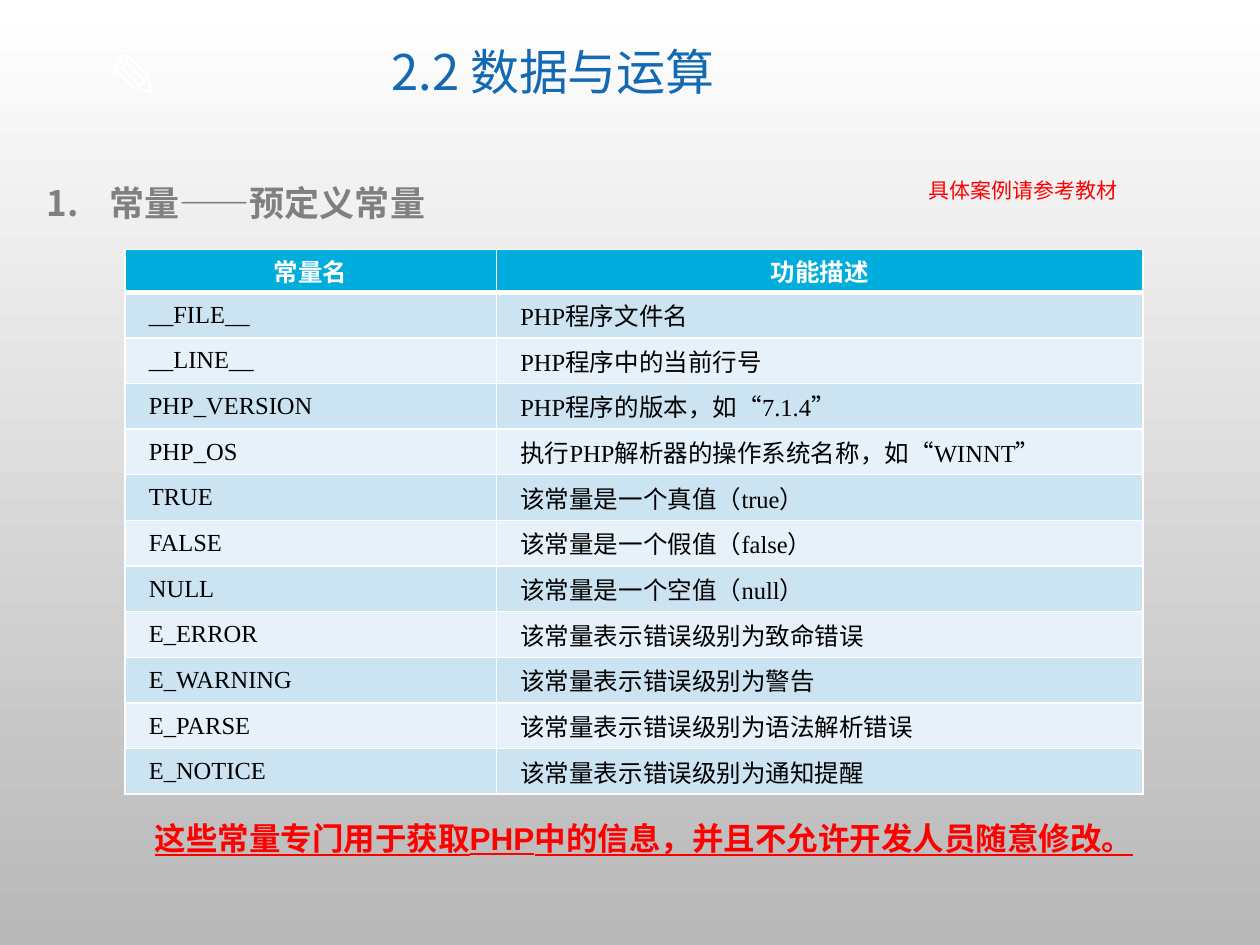
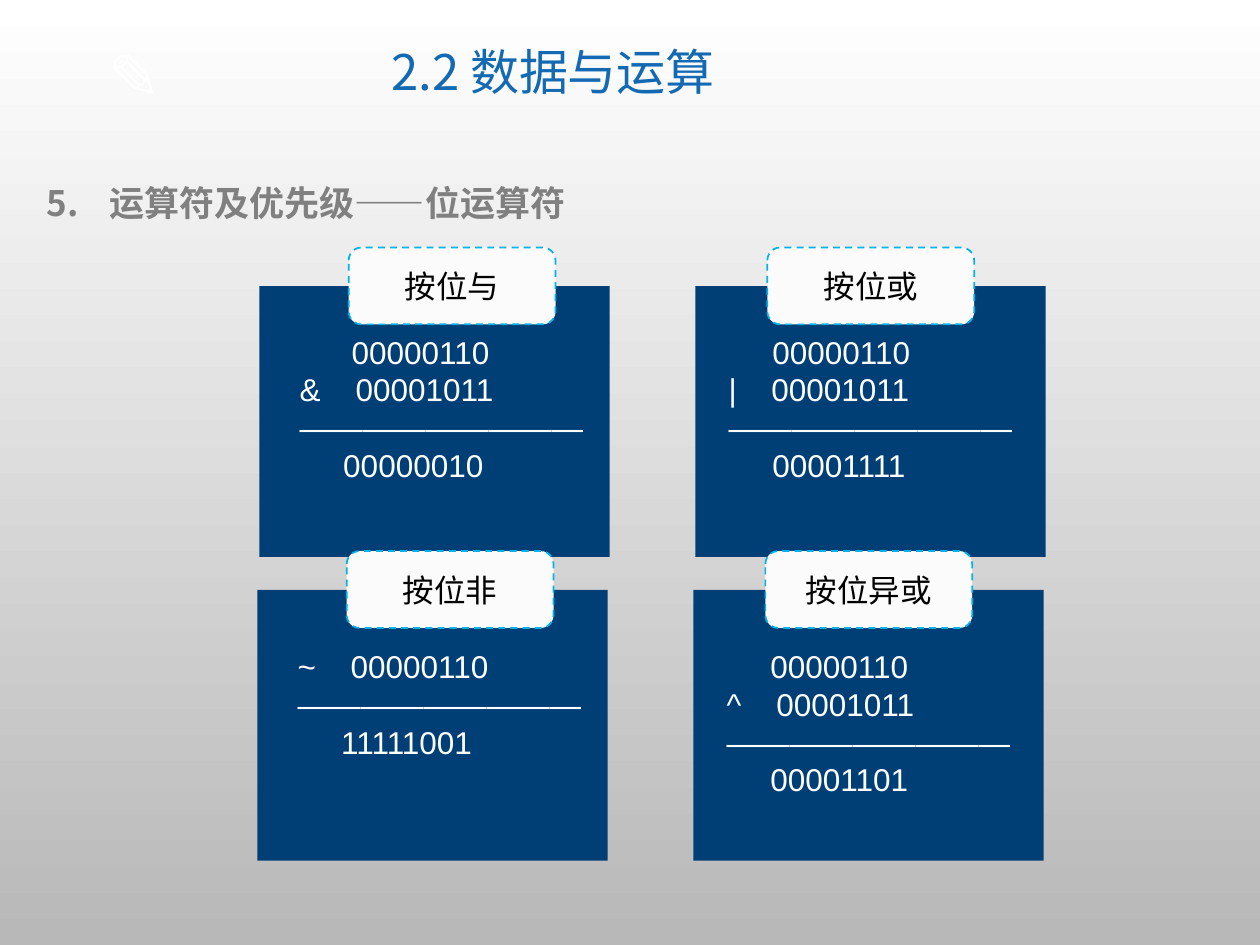
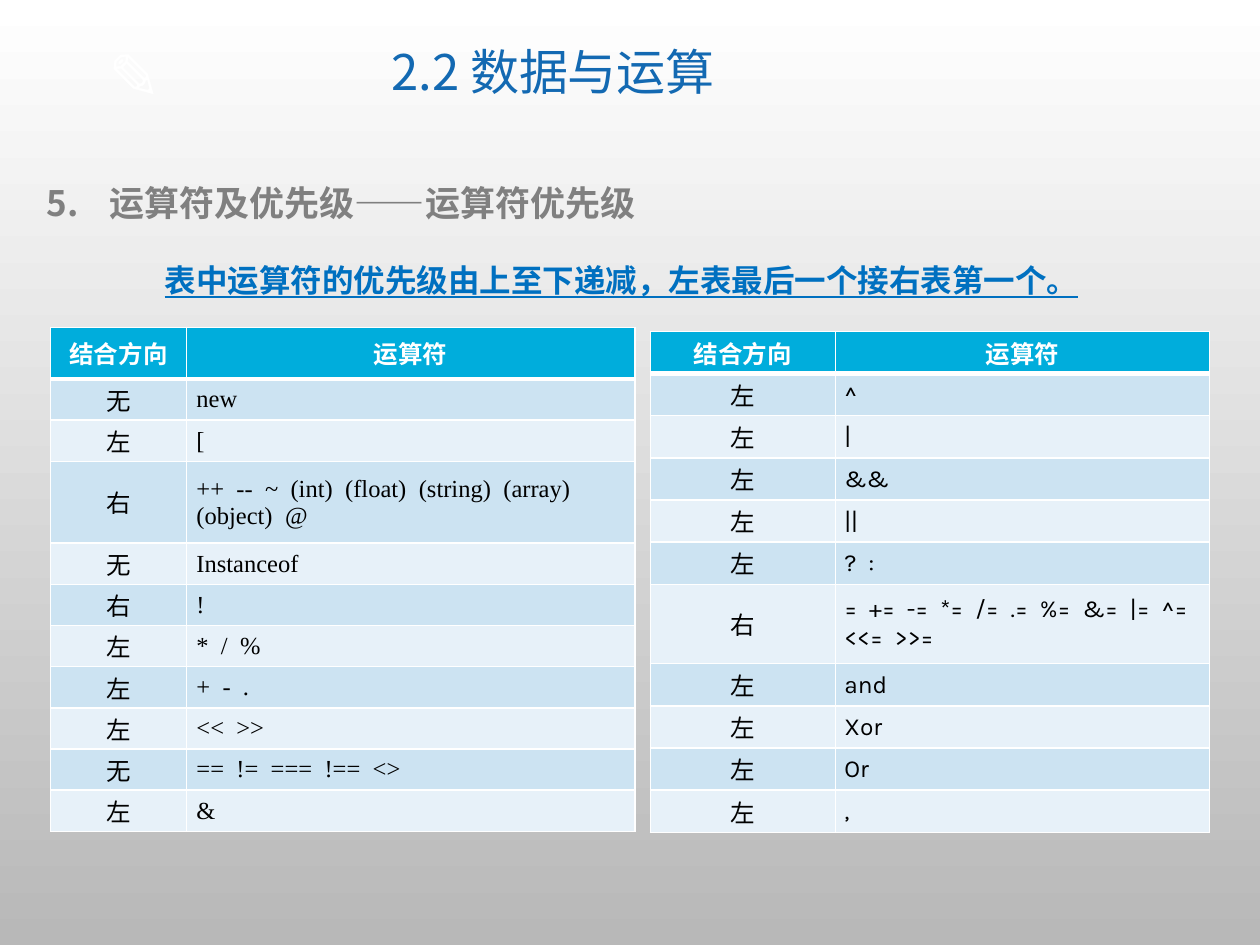
from dataclasses import dataclass
from itertools import product
from lxml import etree
from pptx import Presentation
from pptx import util as u
from pptx.dml.color import RGBColor
from pptx.enum import dml, shapes, text
from pptx.oxml import ns

Cm = u.Cm
LEFT, MID, JUST = (text.PP_ALIGN.LEFT, text.PP_ALIGN.CENTER, text.PP_ALIGN.JUSTIFY)
WIDE = 3.5


@dataclass(frozen=True)
class Theme:
    white: str = "FFFFFF"
    fade: str = "B8B8B8"
    black: str = "000000"
    title: str = "1369B2"
    gray: str = "808080"
    red: str = "FF0000"
    blue: str = "0070C0"
    navy: str = "003F75"
    card: str = "FBFBFB"
    edge: str = "00B4E9"
    head: str = "00ADDC"
    bands: tuple = ("CCE3F2", "E7F1F9")
    han: str = "Noto Sans CJK SC"
    sans: str = "Arial"
    serif: str = "Times New Roman"
    label: str = "Calibri"
    code: str = "Karla"
    icon: int = 36
    big: int = 28
    sub: int = 20
    body: int = 18
    cell: int = 14
    small: int = 12


T = Theme()


def put(item, vals):
    for key, val in vals.items():
        setattr(item, key, val)


def node(base, tag, **attrs):
    return etree.SubElement(base, ns.qn(tag), {k: str(v) for k, v in attrs.items()})


class Deck:
    def __init__(self):
        self.prs = Presentation()
        put(self.prs, dict(slide_width=Cm(25.4), slide_height=Cm(19.05)))
        fill = self.prs.slide_master.background.fill
        fill.gradient()
        fill.gradient_angle = 270
        for stop, hue in zip(fill.gradient_stops, (T.white, T.fade)):
            stop.color.rgb = RGBColor.from_string(hue)

    def page(self, head, start=1):
        """Start a slide with its icon, title and numbered heading."""
        self.slide = self.prs.slides.add_slide(self.prs.slide_layouts[6])
        self.label((1.93, 0.61, 2.18, 1.8), "✎", T.icon, T.white, T.han, bold=True, wrap=False)
        para = self.label((4.6, 0.43, 13.1, 2.16), "2.2 数据与运算", T.big, T.title, T.han,
                          align=MID, anchor=text.MSO_ANCHOR.MIDDLE)
        para.line_spacing = 0.9
        para = self.label((0.69, 3.53, 23.42, 1.12), head, T.sub, T.gray, T.han, bold=True)
        props = self.indent(para, 1.27, -1.27)
        node(props, "a:buFont", typeface="+mj-lt")
        node(props, "a:buAutoNum", type="arabicPeriod", startAt=start)

    def indent(self, para, left, first=0):
        props = para._p.get_or_add_pPr()
        props.set("marL", str(Cm(left)))
        props.set("indent", str(Cm(first)))
        return props

    def run(self, para, words, size, hue, face, **style):
        run = para.add_run()
        run.text = words
        put(run.font, dict(size=u.Pt(size), name=face, **style))
        run.font.color.rgb = RGBColor.from_string(hue)
        node(run._r.get_or_add_rPr(), "a:ea", typeface=T.han)
        return run

    def frame(self, area, wrap=True, anchor=text.MSO_ANCHOR.TOP):
        box = self.slide.shapes.add_textbox(*map(Cm, area)).text_frame
        put(box, dict(word_wrap=wrap, vertical_anchor=anchor))
        return box

    def label(self, area, words, size, hue, face, wrap=True, align=LEFT,
              anchor=text.MSO_ANCHOR.TOP, **style):
        para = self.frame(area, wrap, anchor).paragraphs[0]
        para.alignment = align
        self.run(para, words, size, hue, face, **style)
        return para

    def shape(self, kind, area, fill):
        item = self.slide.shapes.add_shape(kind, *map(Cm, area))
        item.shadow.inherit = False
        item.fill.solid()
        item.fill.fore_color.rgb = RGBColor.from_string(fill)
        item.line.fill.background()
        return item

    def card(self, area, words):
        item = self.shape(shapes.MSO_SHAPE.ROUNDED_RECTANGLE, area, T.card)
        item.line.color.rgb = RGBColor.from_string(T.edge)
        put(item.line, dict(width=u.Pt(1), dash_style=dml.MSO_LINE.DASH))
        item.text_frame.vertical_anchor = text.MSO_ANCHOR.MIDDLE
        para = item.text_frame.paragraphs[0]
        para.alignment = MID
        self.run(para, words, T.body, T.black, T.label)

    def sums(self, area, rows):
        """Write lines of (sign, gap in cm, digits), the digits set in by the gap."""
        box = self.frame(area)
        for i, (sign, gap, digits) in enumerate(rows):
            para = box.add_paragraph() if i else box.paragraphs[0]
            if sign:
                tabs = node(para._p.get_or_add_pPr(), "a:tabLst")
                node(tabs, "a:tab", pos=Cm(gap), algn="l")
                digits = f"{sign}\t{digits}"
            else:
                self.indent(para, gap)
            self.run(para, digits, T.body, T.white, T.sans)

    def cell(self, cell, words, row, pad, look, align, inset=0, space=0):
        put(cell, dict(margin_left=Cm(pad), margin_right=Cm(pad), margin_top=0,
                       margin_bottom=0, vertical_anchor=text.MSO_ANCHOR.MIDDLE))
        props = cell._tc.get_or_add_tcPr()
        for side in "LRTB":
            thick = (row, side) in ((0, "B"), (1, "T"))
            line = node(props, f"a:ln{side}", w=u.Pt(3 if thick else 1))
            node(node(line, "a:solidFill"), "a:srgbClr", val=T.white)
        cell.fill.solid()
        hue = T.bands[(row - 1) % 2] if row else T.head
        cell.fill.fore_color.rgb = RGBColor.from_string(hue)
        para = cell.text_frame.paragraphs[0]
        para.alignment = align
        if inset:
            self.indent(para, inset)
        parts = words.split(" ") if space else [words]
        for i, part in enumerate(parts):
            if i:
                gap = self.run(para, " ", T.cell, **look)
                gap._r.get_or_add_rPr().set("spc", str(round(space * 100)))
            self.run(para, part, T.cell, **look)

    def table(self, spot, cols, highs, rows, faces, aligns, pad=0.18, inset=0, space=0):
        area = (*spot, sum(cols), sum(highs))
        grid = self.slide.shapes.add_table(len(rows), len(cols), *map(Cm, area)).table
        for col, wide in zip(grid.columns, cols):
            col.width = Cm(wide)
        for line, high in zip(grid.rows, highs):
            line.height = Cm(high)
        top = dict(hue=T.white, face=faces[0], bold=True)
        base = dict(hue=T.black, face=faces[1], bold=False)
        for r, row in enumerate(rows):
            for c, words in enumerate(row):
                if r:
                    self.cell(grid.cell(r, c), words, r, pad, base, aligns[c], inset,
                              space if c else 0)
                else:
                    self.cell(grid.cell(r, c), words, r, pad, top, MID)


CONSTS = [
    ("常量名", "功能描述"),
    ("__FILE__", "PHP程序文件名"),
    ("__LINE__", "PHP程序中的当前行号"),
    ("PHP_VERSION", "PHP程序的版本，如“7.1.4”"),
    ("PHP_OS", "执行PHP解析器的操作系统名称，如“WINNT”"),
    ("TRUE", "该常量是一个真值（true）"),
    ("FALSE", "该常量是一个假值（false）"),
    ("NULL", "该常量是一个空值（null）"),
    ("E_ERROR", "该常量表示错误级别为致命错误"),
    ("E_WARNING", "该常量表示错误级别为警告"),
    ("E_PARSE", "该常量表示错误级别为语法解析错误"),
    ("E_NOTICE", "该常量表示错误级别为通知提醒"),
]
RULE = ("", 0, "—" * 9)
BITS = [
    ("按位与", [("", 1.05, "00000110"), ("&", 1.13, "00001011"), RULE, ("", 0.88, "00000010")]),
    ("按位或", [("", 0.88, "00000110"), ("|", 0.86, "00001011"), RULE, ("", 0.88, "00001111")]),
    ("按位非", [("~", 1.07, "00000110"), RULE, ("", 0.88, "11111001")]),
    ("按位异或", [("", 0.88, "00000110"), ("^", 1, "00001011"), RULE, ("", 0.88, "00001101")]),
]
HEAD = ("结合方向", "运算符")
HIGH = [
    HEAD, ("无", "new"), ("左", "["),
    ("右", "++ -- ~ (int) (float) (string) (array) (object) @"),
    ("无", "Instanceof"), ("右", "!"), ("左", "* / %"), ("左", "+ - ."),
    ("左", "<< >>"), ("无", "== != === !== <>"), ("左", "&"),
]
LOW = [
    HEAD, ("左", "^"), ("左", "|"), ("左", "&&"), ("左", "||"), ("左", "? :"),
    ("右", "= += -= *= /= .= %= &= |= ^= <<= >>="),
    ("左", "and"), ("左", "Xor"), ("左", "Or"), ("左", ","),
]


def consts(deck):
    deck.page("常量——预定义常量")
    deck.table((2.52, 5.03), (7.49, 13.03), [0.86] + [0.92] * 11, CONSTS,
               (T.label, T.serif), (JUST, JUST), inset=0.3)
    deck.label((2.87, 16.38, 20.75, 1.02),
               "这些常量专门用于获取PHP中的信息，并且不允许开发人员随意修改。",
               T.body, T.red, T.sans, bold=True, underline=True)
    deck.label((18.47, 3.45, 4.37, 0.76), "具体案例请参考教材",
               T.small, T.red, T.sans, wrap=False)


def bits(deck):
    deck.page("运算符及优先级——位运算符", 5)
    for (row, col), (name, rows) in zip(product(range(2), repeat=2), BITS):
        x, y = 5.23 + 8.79 * col - 0.04 * row, 5.77 + 6.12 * row
        deck.shape(shapes.MSO_SHAPE.RECTANGLE, (x, y, 7.06, 5.46), T.navy)
        deck.sums((x + 0.56 - 0.14 * col, y + 0.81 + 0.22 * row, 6.35, 4.4), rows)
        deck.card((x + 1.8 - 0.35 * col, y - 0.78, 4.17, 1.55), name)


def ranks(deck):
    deck.page("运算符及优先级——运算符优先级", 5)
    deck.label((3.07, 5.13, 19.1, 1.02),
               "表中运算符的优先级由上至下递减，左表最后一个接右表第一个。",
               T.body, T.blue, T.sans, wrap=False, bold=True, underline=True)
    deck.table((1.02, 6.6), (2.74, 9.04), [1.04, 0.83, 0.83, 1.65] + [0.83] * 7, HIGH,
               (T.code, T.serif), (MID, LEFT), pad=0.2, space=WIDE)
    deck.table((13.11, 6.68), (3.73, 7.54), [0.85] * 6 + [1.6] + [0.85] * 4, LOW,
               (T.code, T.code), (MID, LEFT), space=WIDE)


def main():
    deck = Deck()
    for build in (consts, bits, ranks):
        build(deck)
    deck.prs.save("out.pptx")


if __name__ == "__main__":
    main()
